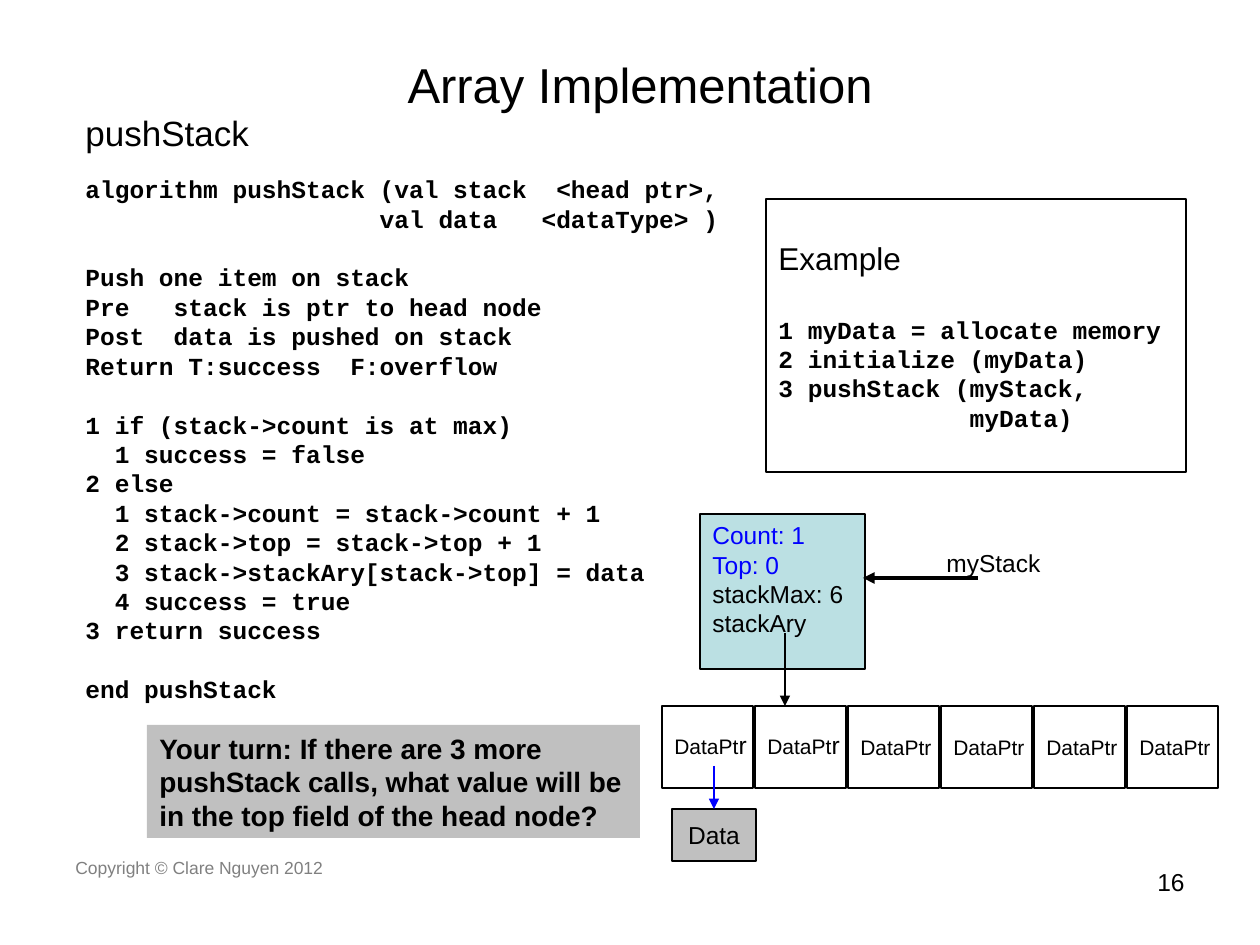
import pptx
import pptx.util
import pptx.dml.color
import pptx.enum.shapes
import pptx.enum.text
import pptx.oxml.ns
from lxml import etree

Pt = pptx.util.Pt
ALIGN = pptx.enum.text.PP_ALIGN
ANCHOR = pptx.enum.text.MSO_ANCHOR
RECT = pptx.enum.shapes.MSO_SHAPE.RECTANGLE
UNIT = 914400 / 126  # EMU in one px
INK = {"black": "000000", "gray": "808080", "silver": "C0C0C0",
       "blue": "0000FF", "teal": "BBE0E3"}
BODY = {"size": 14, "name": "Arial", "bold": False, "ink": "black"}
CODE = {**BODY, "name": "Courier New", "bold": True}


def px(*vals):
    return [round(val * UNIT) for val in vals]


def write(shape, lines, look=BODY, align=ALIGN.LEFT, anchor=ANCHOR.TOP, wrap=True):
    """Fill a shape; a line is text or (text, changed format, space before in pt)."""
    frame = shape.text_frame
    frame.word_wrap = wrap
    frame.vertical_anchor = anchor
    for num, line in enumerate(lines):
        text, diff, gap = (line, {}, 0) if isinstance(line, str) else line
        form = {**look, **diff}
        para = frame.paragraphs[0] if num == 0 else frame.add_paragraph()
        para.alignment = align
        para.space_before = Pt(gap)
        para.line_spacing = Pt(form["size"] * 1.2)
        run = para.add_run()
        run.text = text
        values = {"size": Pt(form["size"]), "name": form["name"], "bold": form["bold"]}
        for key, val in values.items():
            setattr(run.font, key, val)
        run.font.color.rgb = pptx.dml.color.RGBColor.from_string(INK[form["ink"]])
    return frame


deck = pptx.Presentation()
deck.slide_width, deck.slide_height = px(1260, 945)
slide = deck.slides.add_slide(deck.slide_layouts[5])
shapes = slide.shapes

# Title
title = shapes.title
title.left, title.top, title.width, title.height = px(73, 42, 1134, 84)
write(title, ["Array Implementation"], {**BODY, "size": 28}, ALIGN.CENTER, ANCHOR.MIDDLE)

# Plain text
code = [
    "algorithm pushStack (val stack  <head ptr>,",
    "                    val data   <dataType> )",
    ("Push one item on stack", {}, 16.8),
    "Pre   stack is ptr to head node",
    "Post  data is pushed on stack",
    "Return T:success  F:overflow",
    ("1 if (stack->count is at max)", {}, 16.8),
    "  1 success = false",
    "2 else",
    "  1 stack->count = stack->count + 1",
    "  2 stack->top = stack->top + 1",
    "  3 stack->stackAry[stack->top] = data",
    "  4 success = true",
    "3 return success",
    ("end pushStack", {}, 16.8),
]
notes = [
    ((63, 851, 399, 66), ["Copyright © Clare Nguyen 2012"],
     {**BODY, "size": 10, "ink": "gray"}, ALIGN.LEFT),
    ((903, 861, 294, 66), ["16"], BODY, ALIGN.RIGHT),
    ((73, 105, 1134, 60), ["pushStack"], {**BODY, "size": 20}, ALIGN.LEFT),
    ((73, 168, 662, 543), code, CODE, ALIGN.LEFT),
    ((934, 542, 137, 43), ["myStack"], BODY, ALIGN.LEFT),
]
for place, lines, look, align in notes:
    write(shapes.add_textbox(*px(*place)), lines, look, align)

# Boxes: place, fill, outline, lines, text options
example = [
    ("Example", {**BODY, "size": 18}, 0),
    ("1 myData = allocate memory", {}, 21.6),
    "2 initialize (myData)",
    "3 pushStack (myStack,",
    "             myData)",
]
head = [("Count: 1", {"ink": "blue"}, 0), ("Top: 0", {"ink": "blue"}, 0),
        "stackMax: 6", "stackAry"]
ask = ["Your turn: If there are 3 more pushStack calls, "
       "what value will be in the top field of the head node?"]
mid = {"anchor": ANCHOR.MIDDLE}
boxes = [
    ((766, 199, 420, 273), None, True, example, {"look": CODE, **mid}),
    ((147, 725, 493, 113), "silver", False, ask,
     {"look": {**BODY, "size": 16, "bold": True}}),
    ((700, 514, 165, 155), "teal", True, head, {}),
]
for col in range(6):
    word = "DataPt" if col < 2 else "DataPtr"
    boxes.append(((662 + 93 * col, 706, 91, 82), None, True, [word],
                  {"look": {**BODY, "size": 12}, "wrap": False, **mid}))
boxes.append(((672, 809, 84, 52), "silver", True, ["Data"],
              {"align": ALIGN.CENTER, "wrap": False, **mid}))

for place, fill, edge, lines, opts in boxes:
    box = shapes.add_shape(RECT, *px(*place))
    box.shadow.inherit = False
    if fill:
        box.fill.solid()
        box.fill.fore_color.rgb = pptx.dml.color.RGBColor.from_string(INK[fill])
    else:
        box.fill.background()
    if edge:
        box.line.color.rgb = pptx.dml.color.RGBColor.from_string(INK["black"])
        box.line.width = Pt(0.75)
    else:
        box.line.fill.background()
    frame = write(box, lines, **opts)
    if lines == ["DataPt"]:  # the last letter is larger in the first two cells
        tail = frame.paragraphs[0].add_run()
        tail.text = "r"
        tail.font.size = Pt(14)
        tail.font.name = "Arial"
        tail.font.color.rgb = pptx.dml.color.RGBColor.from_string(INK["black"])
data = box

# Arrows: ends, colour, width, box joined at its top
arrows = [
    ((785, 633, 785, 706), "black", 0.75, None),
    ((978, 578, 863, 578), "black", 2.25, None),
    ((714, 766, 714, 809), "blue", 0.75, data),
]
for ends, ink, width, goal in arrows:
    arrow = shapes.add_connector(pptx.enum.shapes.MSO_CONNECTOR.STRAIGHT, *px(*ends))
    if goal is not None:
        arrow.end_connect(goal, 0)
    arrow.line.color.rgb = pptx.dml.color.RGBColor.from_string(INK[ink])
    arrow.line.width = Pt(width)
    stroke = arrow.line._get_or_add_ln()
    etree.SubElement(stroke, pptx.oxml.ns.qn("a:tailEnd"), type="triangle")
    etree.SubElement(arrow._element.spPr, pptx.oxml.ns.qn("a:effectLst"))

deck.save("out.pptx")
